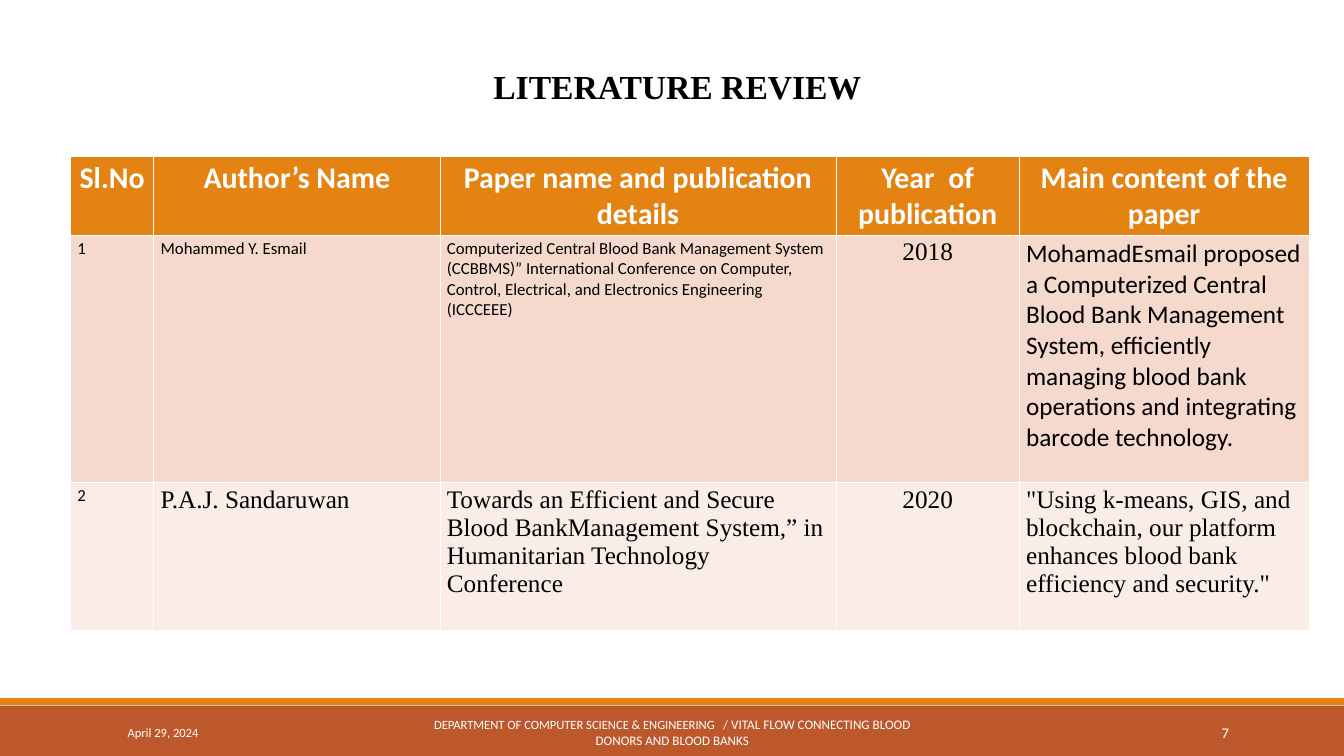
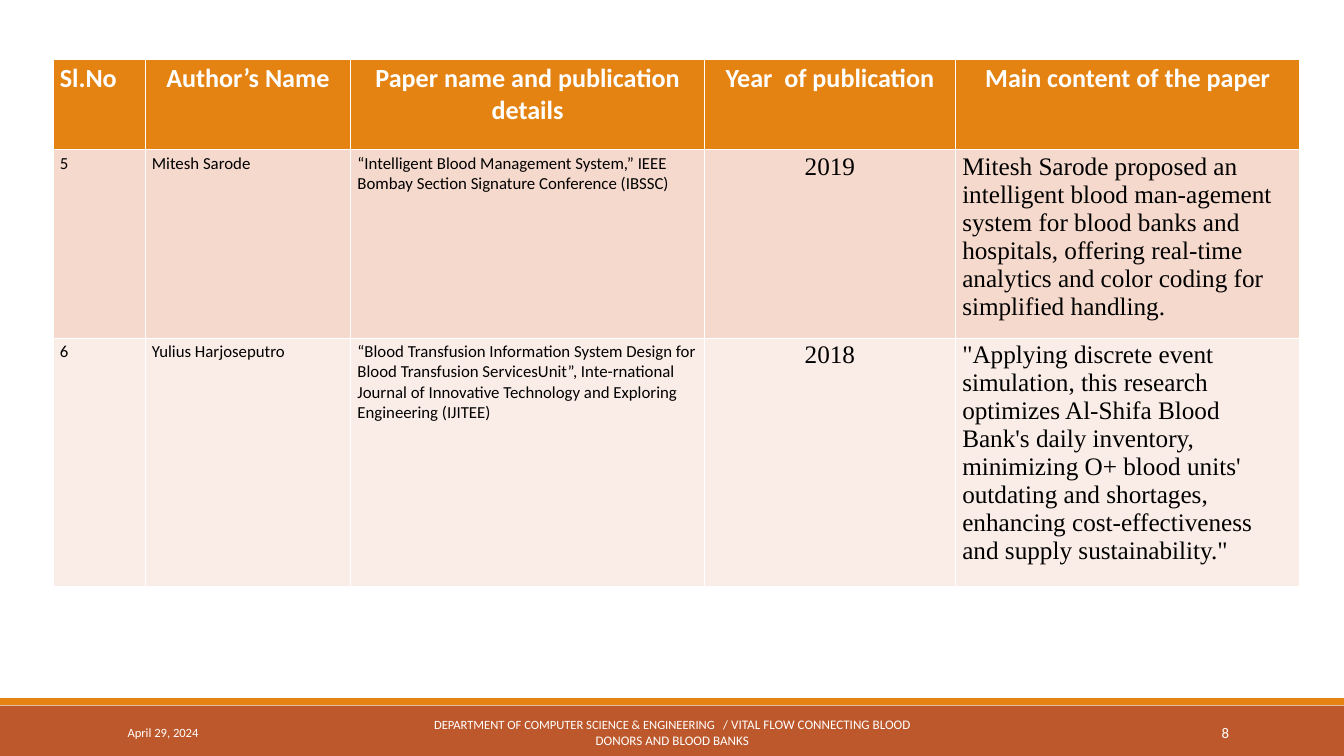
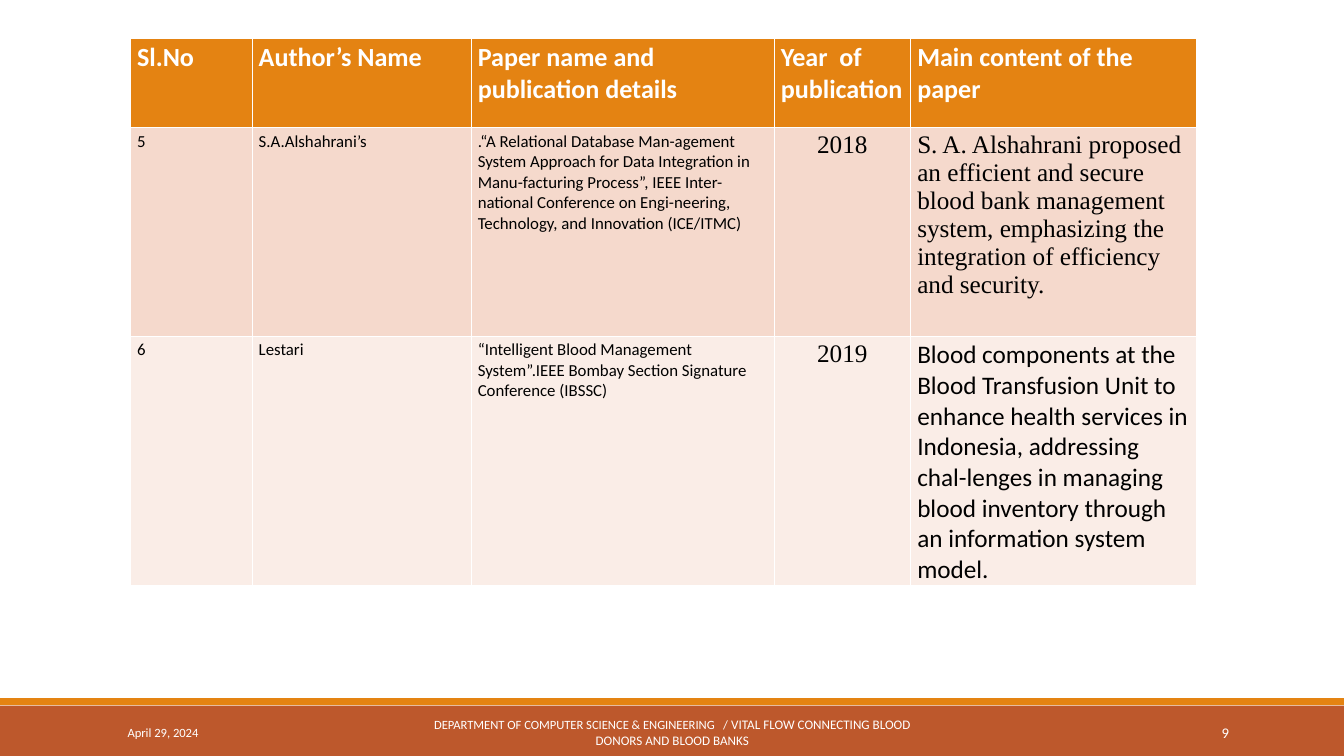
"""Build three literature review slides with tables and a shared footer."""
import pptx
import pptx.dml.color
import pptx.enum.shapes
import pptx.enum.text
import pptx.util

SANS, SERIF = "Calibri", "Times New Roman"
WHITE, BLACK, ORANGE, RUST = "FFFFFF", "000000", "E48312", "BD582C"
ROW_TINTS = ["F5D9CC", "FAEDE7"]
LEFT, CENTER, RIGHT = (pptx.enum.text.PP_ALIGN.LEFT, pptx.enum.text.PP_ALIGN.CENTER,
                       pptx.enum.text.PP_ALIGN.RIGHT)
SMALL, LARGE, PLAIN = (18, SANS), (27, SERIF), (27, SANS)
HEADINGS = ["Sl.No", "Author’s Name", "Paper name and publication details",
            "Year  of publication", "Main content of the paper"]
YEAR = HEADINGS.index("Year  of publication")

deck = pptx.Presentation()
deck.slide_width, deck.slide_height = pptx.util.Inches(20), pptx.util.Inches(11.25)
COLUMN, ROW = deck.slide_width / 100, deck.slide_height / 100


def paint(fill, color):
    fill.solid()
    fill.fore_color.rgb = pptx.dml.color.RGBColor.from_string(color)


def write(frame, parts, font, color, align=LEFT, bold=False):
    frame.word_wrap = True
    line = frame.paragraphs[0]
    line.alignment = align
    for words, size in parts:
        run = line.add_run()
        run.text = words
        run.font.size, run.font.name, run.font.bold = pptx.util.Pt(size), font, bold
        paint(run.font.fill, color)


reviews = [
    {"page": "7", "title": "LITERATURE REVIEW",
     "left": 5.25, "top": 20.7, "columns": [6.2, 21.3, 29.45, 13.65, 21.55],
     "rows": [10.4, 32.7, 19.6], "heading_size": 32, "heading_aligns": [CENTER] * 5,
     "papers": [
         (["1", "Mohammed Y. Esmail",
           "Computerized Central Blood Bank Management System (CCBBMS)” International "
           "Conference on Computer, Control, Electrical, and Electronics Engineering (ICCCEEE)",
           "2018",
           "MohamadEsmail proposed a Computerized Central Blood Bank Management System, "
           "efficiently managing blood bank operations and integrating barcode technology."],
          [SMALL, SMALL, SMALL, LARGE, PLAIN]),
         (["2", "P.A.J. Sandaruwan",
           "Towards an Efficient and Secure Blood BankManagement System,” in Humanitarian "
           "Technology Conference",
           "2020",
           "\"Using k-means, GIS, and blockchain, our platform enhances blood bank efficiency "
           "and security.\""],
          [SMALL, LARGE, LARGE, LARGE, LARGE])]},
    {"page": "8", "title": None,
     "left": 3.95, "top": 7.9, "columns": [6.85, 15.3, 26.3, 18.7, 25.6],
     "rows": [11.9, 24.9, 32.9], "heading_size": 28, "heading_aligns": [LEFT] + [CENTER] * 4,
     "papers": [
         (["5", "Mitesh Sarode",
           "“Intelligent Blood Management System,” IEEE Bombay Section Signature Conference "
           "(IBSSC)",
           "2019",
           "Mitesh Sarode proposed an intelligent blood man-agement system for blood banks and "
           "hospitals, offering real-time analytics and color coding for simplified handling."],
          [SMALL, SMALL, SMALL, LARGE, LARGE]),
         (["6", "Yulius Harjoseputro",
           "“Blood Transfusion Information System Design for Blood Transfusion ServicesUnit”, "
           "Inte-rnational Journal of Innovative Technology and Exploring Engineering (IJITEE)",
           "2018",
           "\"Applying discrete event simulation, this research optimizes Al-Shifa Blood Bank's "
           "daily inventory, minimizing O+ blood units' outdating and shortages, enhancing "
           "cost-effectiveness and supply sustainability.\""],
          [SMALL, SMALL, SMALL, LARGE, LARGE])]},
    {"page": "9", "title": None,
     "left": 9.7, "top": 5.1, "columns": [9.05, 16.3, 22.55, 10.15, 21.25],
     "rows": [11.8, 27.6, 32.9], "heading_size": 28, "heading_aligns": [LEFT] * 5,
     "papers": [
         (["5", "S.A.Alshahrani’s",
           ".“A Relational Database Man-agement System Approach for Data Integration in "
           "Manu-facturing Process”, IEEE Inter-national Conference on Engi-neering, "
           "Technology, and Innovation (ICE/ITMC)",
           "2018",
           "S. A. Alshahrani proposed an efficient and secure blood bank management system, "
           "emphasizing the integration of efficiency and security."],
          [SMALL, SMALL, SMALL, LARGE, LARGE]),
         (["6", "Lestari",
           "“Intelligent Blood Management System”.IEEE Bombay Section Signature Conference "
           "(IBSSC)",
           "2019",
           "Blood components at the Blood Transfusion Unit to enhance health services in "
           "Indonesia, addressing chal-lenges in managing blood inventory through an "
           "information system model."],
          [SMALL, SMALL, SMALL, LARGE, PLAIN])]},
]

for review in reviews:
    slide = deck.slides.add_slide(deck.slide_layouts[6])

    for top, height, color in [(93.33, 6.67, RUST), (92.36, 0.9, ORANGE)]:
        band = slide.shapes.add_shape(
            pptx.enum.shapes.MSO_SHAPE.RECTANGLE,
            0, int(top * ROW), deck.slide_width, int(height * ROW))
        band.shadow.inherit = False
        paint(band.fill, color)
        band.line.fill.background()

    footers = [
        (9, 20.3, LEFT, [("April 29, 2024", 13.5)]),
        (30.25, 39.55, CENTER,
         [("DEPARTMENT OF COMPUTER SCIENCE & ENGINEERING   /", 13.5),
          (" VITAL FLOW CONNECTING BLOOD DONORS AND BLOOD BANKS", 14)]),
        (81.2, 10.75, RIGHT, [(review["page"], 15.8)]),
    ]
    for left, width, align, parts in footers:
        footer = slide.shapes.add_textbox(
            int(left * COLUMN), int(94.22 * ROW), int(width * COLUMN), int(5.33 * ROW))
        footer.text_frame.vertical_anchor = pptx.enum.text.MSO_ANCHOR.MIDDLE
        write(footer.text_frame, parts, SANS, WHITE, align)

    if review["title"]:
        title = slide.shapes.add_textbox(
            int(3.05 * COLUMN), int(5.6 * ROW), int(92.2 * COLUMN), int(8 * ROW))
        title.text_frame.margin_left = pptx.util.Inches(0.6)
        write(title.text_frame, [(review["title"], 36)], SERIF, BLACK, CENTER, True)
        title.text_frame.paragraphs[0].line_spacing = 1.5

    table = slide.shapes.add_table(
        len(review["rows"]), len(HEADINGS),
        int(review["left"] * COLUMN), int(review["top"] * ROW),
        int(sum(review["columns"]) * COLUMN), int(sum(review["rows"]) * ROW)).table
    for column, width in zip(table.columns, review["columns"]):
        column.width = int(width * COLUMN)
    for row, height in zip(table.rows, review["rows"]):
        row.height = int(height * ROW)

    for index, heading in enumerate(HEADINGS):
        cell = table.cell(0, index)
        paint(cell.fill, ORANGE)
        write(cell.text_frame, [(heading, review["heading_size"])], SANS, WHITE,
              review["heading_aligns"][index], True)

    for number, (details, styles) in enumerate(review["papers"]):
        for index, (detail, (size, font)) in enumerate(zip(details, styles)):
            cell = table.cell(number + 1, index)
            paint(cell.fill, ROW_TINTS[number])
            write(cell.text_frame, [(detail, size)], font, BLACK,
                  CENTER if index == YEAR else LEFT)

deck.save("out.pptx")
